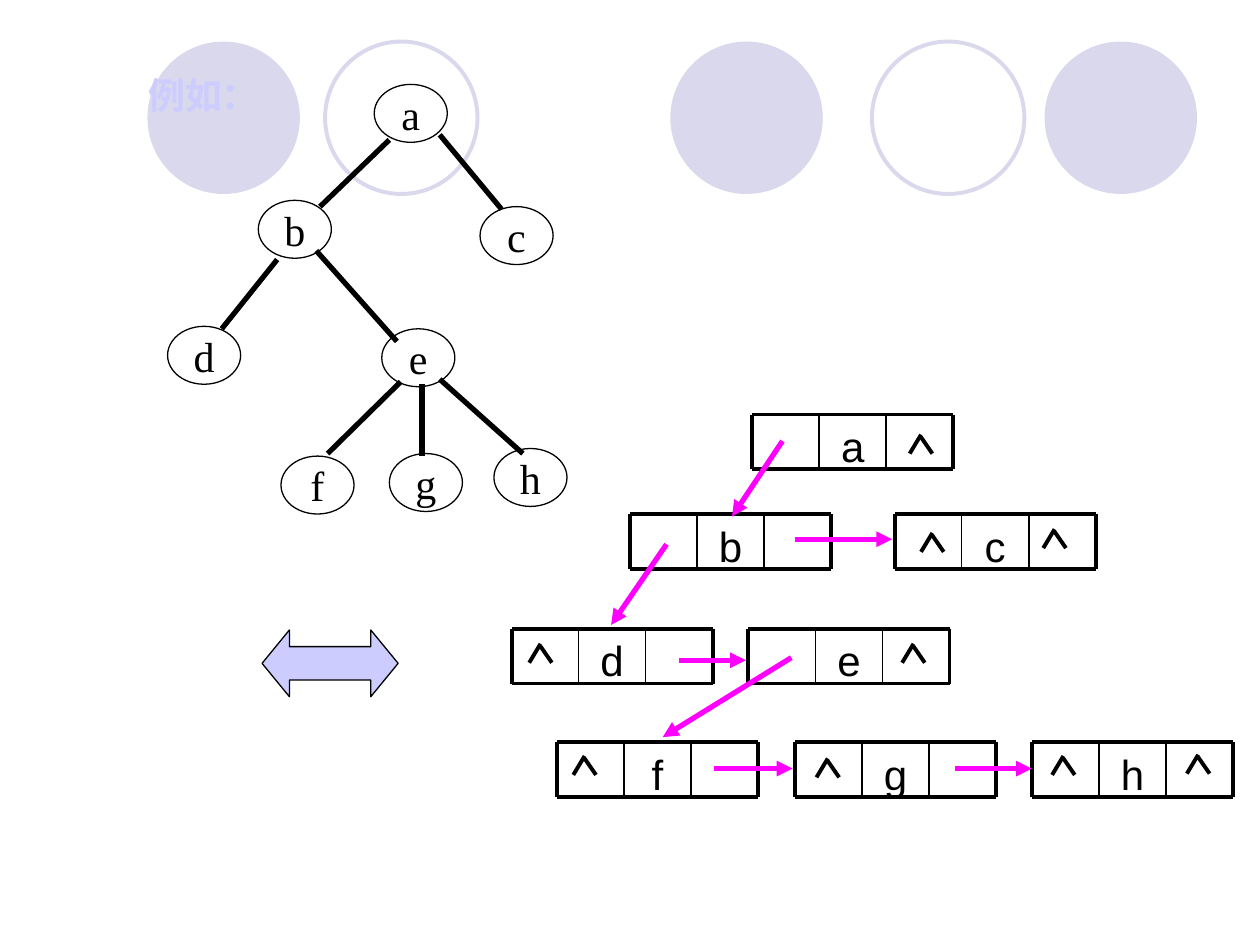
from lxml.etree import SubElement
from pptx import Presentation
from pptx.dml.color import RGBColor
from pptx.enum.shapes import MSO_CONNECTOR, MSO_SHAPE
from pptx.enum.text import MSO_ANCHOR as Anchor, PP_ALIGN as Align
from pptx.oxml.ns import qn
from pptx.util import Inches, Pt

BLACK = RGBColor(0x00, 0x00, 0x00)
MAGENTA = RGBColor(0xFF, 0x00, 0xFF)
LAVENDER = RGBColor(0xCC, 0xCC, 0xFF)
PALE = RGBColor(0xD9, 0xD8, 0xEC)

TITLE = "例如："
CIRCLE, CIRCLE_TOP = 1.21, 0.33
CIRCLES = [(5.32, True), (8.29, True), (1.17, True), (6.92, False), (2.58, False)]

NODE_SIZE = (0.58, 0.46)
NODES = {
    "a": (2.97, 0.67), "b": (2.05, 1.59), "c": (3.81, 1.64), "d": (1.33, 2.59),
    "e": (3.03, 2.61), "f": (2.23, 3.62), "g": (3.09, 3.6), "h": (3.92, 3.56),
}
BRANCHES = [
    ((3.09, 1.11), (2.54, 1.64)), ((3.49, 1.07), (3.98, 1.66)),
    ((2.2, 2.06), (1.76, 2.61)), ((2.51, 1.99), (3.15, 2.71)),
    ((3.18, 3.03), (2.6, 3.6)), ((3.35, 3.05), (3.35, 3.62)),
    ((3.49, 3.01), (4.15, 3.6)),
]

CELL, RECORD_HEIGHT = 0.532, 0.435
ROWS = [3.29, 4.08, 4.99, 5.89]
RECORDS = [
    ("a", 5.97, 0, [(7.31, 3.45)]),
    ("b", 5.0, 1, []),
    ("c", 7.1, 1, [(7.4, 4.23), (8.37, 4.2)]),
    ("d", 4.06, 2, [(4.29, 5.11)]),
    ("e", 5.94, 2, [(7.25, 5.11)]),
    ("f", 4.42, 3, [(4.64, 6.0)]),
    ("g", 6.31, 3, [(6.57, 6.02)]),
    ("h", 8.19, 3, [(8.44, 6.0), (9.51, 5.99)]),
]
POINTERS = [
    ((6.21, 3.5), (5.81, 4.1)), ((6.31, 4.28), (7.08, 4.28)),
    ((5.29, 4.32), (4.85, 4.96)), ((5.39, 5.24), (5.92, 5.24)),
    ((6.28, 5.22), (5.26, 5.85)), ((5.67, 6.1), (6.29, 6.1)),
    ((7.58, 6.1), (8.19, 6.1)),
]


def add_form(page, kind, place, fill=None, line=None, weight=0.75):
    form = page.shapes.add_shape(kind, *map(Inches, place))
    form.shadow.inherit = False
    if fill is None:
        form.fill.background()
    else:
        form.fill.solid()
        form.fill.fore_color.rgb = fill
    if line is None:
        form.line.fill.background()
    else:
        form.line.color.rgb = line
        form.line.width = Pt(weight)
    return form


def add_line(page, start, end, weight, color=BLACK, arrow=False):
    line = page.shapes.add_connector(MSO_CONNECTOR.STRAIGHT, *map(Inches, start + end))
    line.line.color.rgb = color
    line.line.width = Pt(weight)
    properties = line._element.spPr
    if arrow:
        SubElement(properties.find(qn("a:ln")), qn("a:tailEnd"), type="triangle")
    SubElement(properties, qn("a:effectLst"))


def add_text(box, text, font, size, color=BLACK, bold=False, align=Align.CENTER):
    para = box.text_frame.paragraphs[0]
    para.alignment = align
    span = para.add_run()
    span.text = text
    span.font.name = font
    span.font.size = Pt(size)
    span.font.bold = bold
    span.font.color.rgb = color
    SubElement(span.font._element, qn("a:ea"), typeface=font)
    return para


def add_box(page, place, anchor):
    box = page.shapes.add_textbox(*map(Inches, place))
    box.text_frame.word_wrap = True
    box.text_frame.vertical_anchor = anchor
    return box


def add_node(page, name, corner):
    node = add_form(page, MSO_SHAPE.OVAL, corner + NODE_SIZE, line=BLACK)
    node.text_frame.word_wrap = False
    node.text_frame.vertical_anchor = Anchor.MIDDLE
    add_text(node, name, "Times New Roman", 24)


def add_record(page, name, left, row, carets):
    top = ROWS[row]
    bottom = top + RECORD_HEIGHT
    box = add_box(page, (left + CELL, top, CELL, RECORD_HEIGHT), Anchor.TOP)
    add_text(box, name, "Arial", 24).space_before = Pt(6)
    for y in (top, bottom):
        add_line(page, (left, y), (left + 3 * CELL, y), 2.25)
    for column, weight in enumerate((2.25, 1, 1, 2.25)):
        x = left + column * CELL
        add_line(page, (x, top), (x, bottom), weight)
    for x, y in carets:
        add_line(page, (x, y), (x - 0.09, y + 0.15), 2.25)
        add_line(page, (x, y + 0.02), (x + 0.09, y + 0.15), 2.25)


def main():
    deck = Presentation()
    deck.slide_width, deck.slide_height = Inches(10), Inches(7.5)
    page = deck.slides.add_slide(deck.slide_layouts[6])

    for left, solid in CIRCLES:
        place = (left, CIRCLE_TOP, CIRCLE, CIRCLE)
        if solid:
            add_form(page, MSO_SHAPE.OVAL, place, fill=PALE)
        else:
            add_form(page, MSO_SHAPE.OVAL, place, line=PALE, weight=2.25)

    for name, corner in NODES.items():
        add_node(page, name, corner)
    for start, end in BRANCHES:
        add_line(page, start, end, 3)

    for record in RECORDS:
        add_record(page, *record)
    for start, end in POINTERS:
        add_line(page, start, end, 3, MAGENTA, arrow=True)

    title = add_box(page, (1.08, 0.42, 1.42, 0.67), Anchor.MIDDLE)
    add_text(title, TITLE, "Noto Sans CJK SC", 21, LAVENDER, True, Align.LEFT)

    arrow = add_form(page, MSO_SHAPE.LEFT_RIGHT_ARROW, (2.08, 5, 1.08, 0.53), LAVENDER, BLACK)
    arrow.adjustments[0], arrow.adjustments[1] = 0.5, 0.41

    deck.save("out.pptx")


if __name__ == "__main__":
    main()
